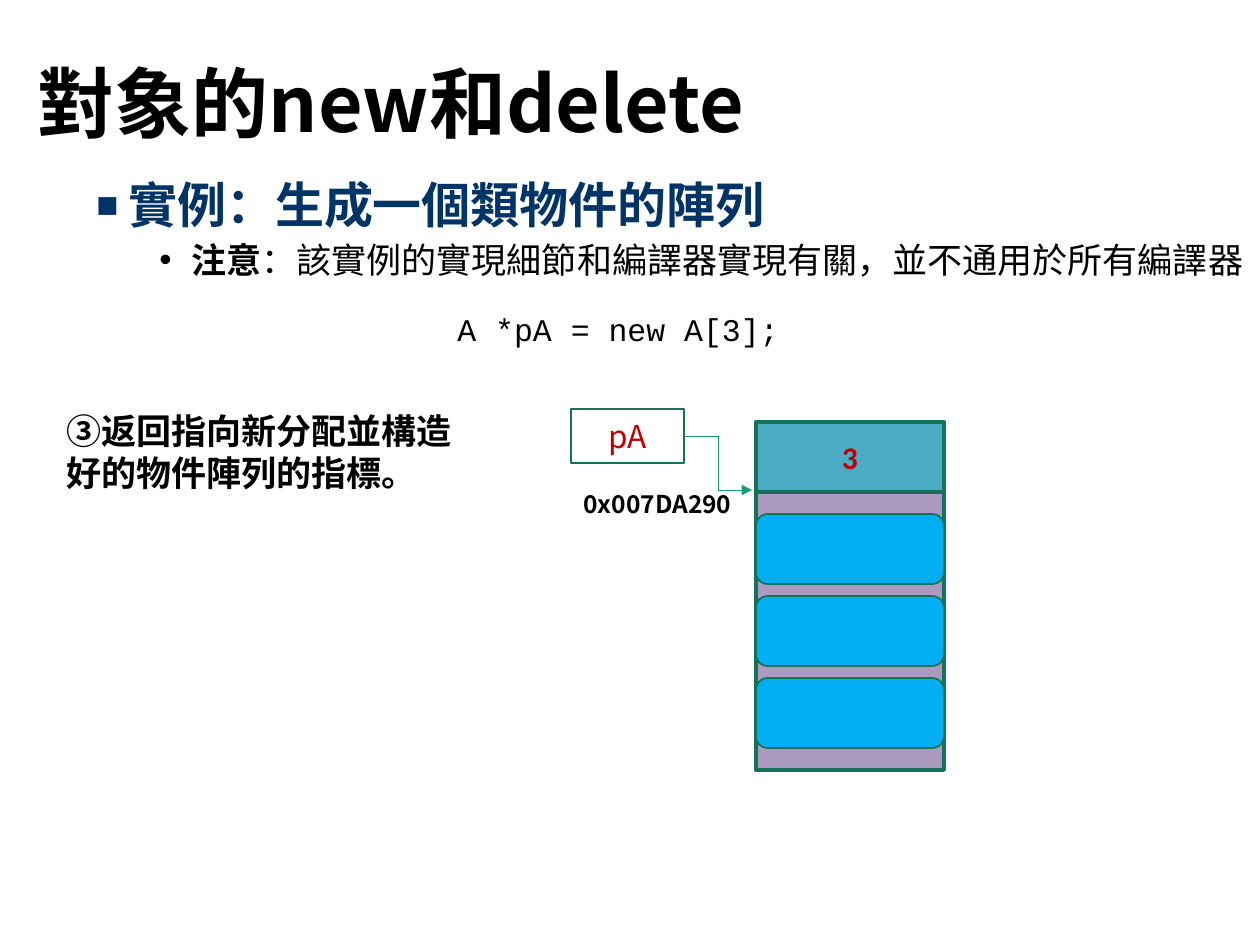
from dataclasses import dataclass
from typing import Any, NamedTuple, Optional

from lxml import etree
from pptx import Presentation
from pptx.dml import color as dml
from pptx.enum import shapes as es, text as et
from pptx.oxml import ns
from pptx import util as u

PX = 914400 / 126


@dataclass(frozen=True)
class Theme:
    ink: str = "000000"
    paper: str = "FFFFFF"
    navy: str = "003366"
    red: str = "C00000"
    edge: str = "157259"
    arrow: str = "1D9A78"
    heap: str = "AA9ABF"
    count: str = "4AACC5"
    item: str = "03AEF3"
    sans: str = "Noto Sans CJK SC"
    mono: str = "Courier New"
    latin: str = "Calibri"
    title: int = 44
    head: int = 28
    body: int = 20
    code: int = 18
    small: int = 14


T = Theme()


class Area(NamedTuple):
    x: int
    y: int
    w: int
    h: int


class Box(NamedTuple):
    area: Area
    fill: str
    line: float
    kind: Any = es.MSO_SHAPE.RECTANGLE
    label: str = ""
    font: str = T.sans
    bold: bool = False


class Note(NamedTuple):
    area: Area
    label: str
    size: int
    font: str = T.sans
    bold: bool = True


def px(n: float) -> int:
    return round(n * PX)


def rgb(code: str) -> dml.RGBColor:
    return dml.RGBColor.from_string(code)


def sub(node: Any, tag: str, **attrs: str) -> Any:
    return etree.SubElement(node, ns.qn(tag), **attrs)


def write(para: Any, label: str, *, size: int, color: str = T.ink,
          font: str = T.sans, bold: bool = False, align: Any = None,
          lead: Optional[float] = None) -> None:
    run = para.add_run()
    run.text = label
    run.font.size = u.Pt(size)
    run.font.bold = bold
    run.font.color.rgb = rgb(color)
    run.font.name = font
    sub(run.font._element, "a:ea", typeface=T.sans)
    if align is not None:
        para.alignment = align
    if lead:
        para.line_spacing = lead


def bullet(para: Any, mark: str, left: int, hang: int, scale: int = 100) -> None:
    props = para._p.get_or_add_pPr()
    props.set("marL", str(px(left)))
    props.set("indent", str(-px(hang)))
    sub(props, "a:buSzPct", val=str(scale * 1000))
    sub(props, "a:buFont", typeface="Arial")
    sub(props, "a:buChar", char=mark)


def frame(slide: Any, area: Area) -> Any:
    body = slide.shapes.add_textbox(*map(px, area)).text_frame
    body.word_wrap = True
    return body


def draw_title(slide: Any, area: Area, label: str) -> None:
    title = slide.shapes.title
    title.left, title.top, title.width, title.height = map(px, area)
    body = title.text_frame
    body.auto_size = et.MSO_AUTO_SIZE.NONE
    body.vertical_anchor = et.MSO_ANCHOR.MIDDLE
    write(body.paragraphs[0], label, size=T.title, bold=True,
          align=et.PP_ALIGN.LEFT, lead=0.9)


def draw_body(slide: Any, area: Area) -> None:
    body = frame(slide, area)
    head = body.paragraphs[0]
    bullet(head, "■", 32, 32, 75)
    write(head, "實例：生成一個類物件的陣列", size=T.head, color=T.navy,
          font=T.mono, bold=True, lead=0.9)
    item = body.add_paragraph()
    item.level = 1
    bullet(item, "•", 95, 32)
    item.space_before = u.Pt(5)
    write(item, "注意", size=T.body, font=T.mono, bold=True, lead=0.9)
    write(item, "：該實例的實現細節和編譯器實現有關，並不通用於所有編譯器",
          size=T.body, font=T.mono)


def draw_note(slide: Any, note: Note) -> None:
    write(frame(slide, note.area).paragraphs[0], note.label,
          size=note.size, font=note.font, bold=note.bold)


def draw_box(slide: Any, box: Box) -> None:
    shape = slide.shapes.add_shape(box.kind, *map(px, box.area))
    shape.shadow.inherit = False
    shape.fill.solid()
    shape.fill.fore_color.rgb = rgb(box.fill)
    shape.line.color.rgb = rgb(T.edge)
    shape.line.width = u.Pt(box.line)
    if box.label:
        body = shape.text_frame
        body.vertical_anchor = et.MSO_ANCHOR.MIDDLE
        write(body.paragraphs[0], box.label, size=T.code, color=T.red,
              font=box.font, bold=box.bold, align=et.PP_ALIGN.CENTER)


def draw_arrow(slide: Any, x1: int, y1: int, x2: int, y2: int) -> None:
    link = slide.shapes.add_connector(
        es.MSO_CONNECTOR.ELBOW, *map(px, (x1, y1, x2, y2)))
    link.line.color.rgb = rgb(T.arrow)
    link.line.width = u.Pt(0.5)
    sub(link.line._get_or_add_ln(), "a:tailEnd", type="triangle")
    sub(link._element.spPr, "a:effectLst")


def main() -> None:
    deck = Presentation()
    deck.slide_width, deck.slide_height = u.Inches(10), u.Inches(7.5)
    slide = deck.slides.add_slide(deck.slide_layouts[5])

    draw_title(slide, Area(25, 16, 1086, 183), "對象的new和delete")
    draw_body(slide, Area(84, 175, 1176, 654))

    notes = [
        Note(Area(54, 403, 431, 97), "③返回指向新分配並構造好的物件陣列的指標。", T.body),
        Note(Area(571, 483, 185, 43), "0x007DA290", T.small),
        Note(Area(445, 304, 353, 50), "A *pA = new A[3];", T.code, T.mono, False),
    ]
    for note in notes:
        draw_note(slide, note)

    left, wide, high = 756, 188, 70
    boxes = [
        Box(Area(left, 492, wide, 278), T.heap, 2.25),
        Box(Area(left, 422, wide, high), T.count, 2.25,
            label="3", font=T.latin, bold=True),
        *(Box(Area(left, 514 + 82 * i, wide, high), T.item, 1,
              es.MSO_SHAPE.ROUNDED_RECTANGLE) for i in range(3)),
        Box(Area(571, 409, 113, 54), T.paper, 1, label="pA"),
    ]
    for box in boxes:
        draw_box(slide, box)
    draw_arrow(slide, 684, 436, 752, 490)

    deck.save("out.pptx")


if __name__ == "__main__":
    main()
